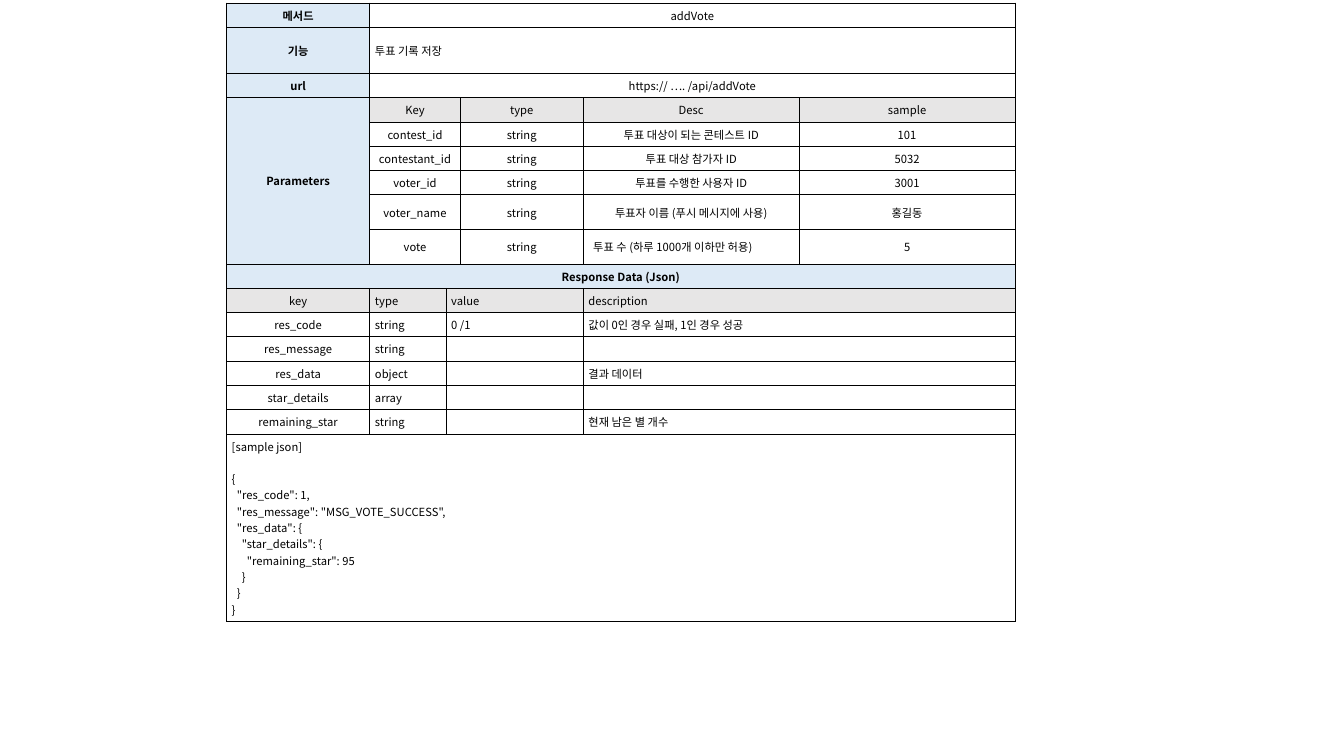
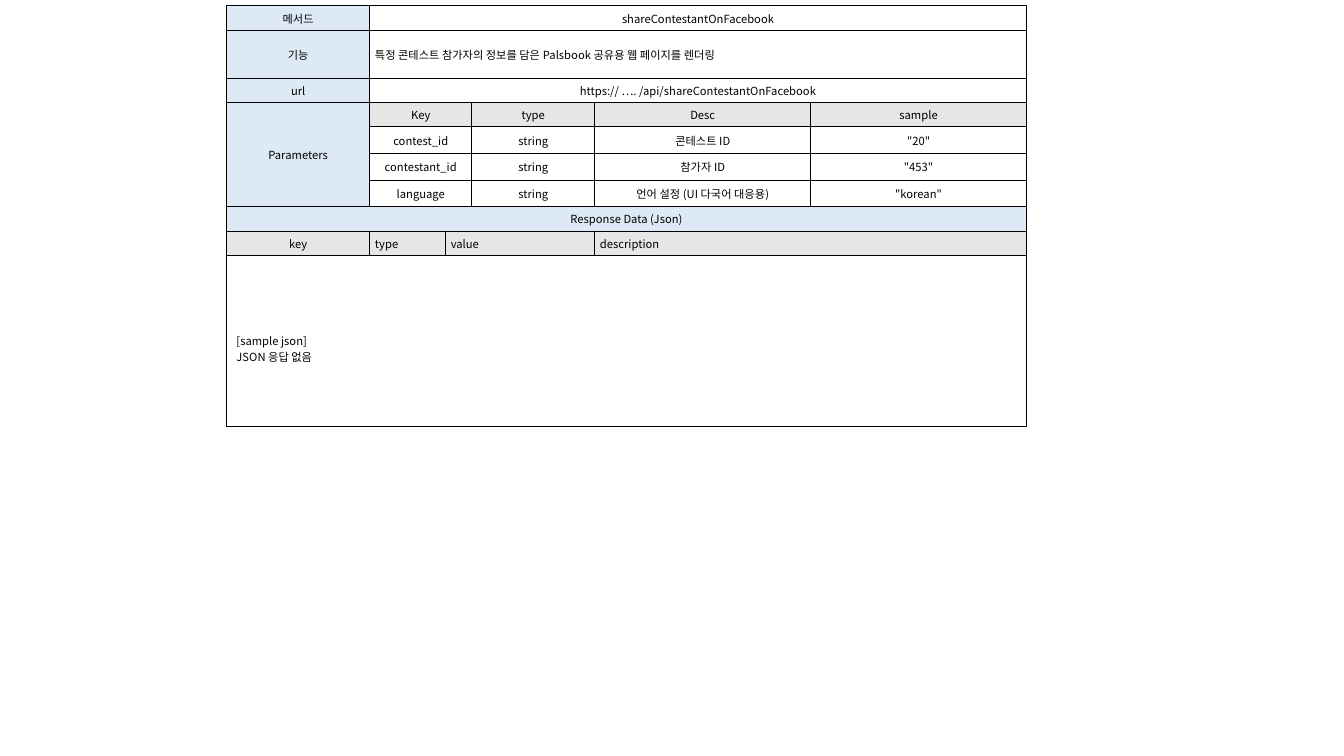
from dataclasses import dataclass

from lxml.etree import SubElement
from pptx import Presentation
from pptx.dml.color import RGBColor
from pptx.enum.text import MSO_ANCHOR as Anchor, PP_ALIGN as Align
from pptx.oxml.ns import qn
from pptx.util import Cm, Pt


@dataclass(frozen=True)
class Theme:
    label: RGBColor = RGBColor(0xDD, 0xEA, 0xF6)
    header: RGBColor = RGBColor(0xE7, 0xE6, 0xE6)
    plain: RGBColor = RGBColor(0xFF, 0xFF, 0xFF)
    ink: RGBColor = RGBColor(0, 0, 0)
    font: str = "Noto Sans CJK KR"
    size: Pt = Pt(8)
    border: Pt = Pt(0.75)
    narrow: tuple = (Cm(0.13), Cm(0.1))
    wide: tuple = (Cm(0.25), Cm(0.13))


@dataclass
class ApiMethod:
    name: str
    purpose: str
    parameters: list
    responses: list
    sample: str
    # Geometry in centimetres
    top: float
    columns: list
    line_height: float
    purpose_height: float
    parameter_heights: list
    sample_height: float
    # Variations in formatting
    bold_labels: bool
    parameter_margins: tuple
    parameter_formats: dict
    sample_format: dict


THEME = Theme()


def write_text(cell, text, bold=False, align=Align.CENTER, anchor=Anchor.MIDDLE,
               margins=THEME.narrow, top_margin=None, gap_after_first=None):
    """Fill a table cell with one paragraph per line of text."""
    cell.vertical_anchor = anchor
    cell.margin_left = cell.margin_right = margins[0]
    cell.margin_top = cell.margin_bottom = margins[1]
    if top_margin is not None:
        cell.margin_top = top_margin
    frame = cell.text_frame
    for index, line in enumerate(text.split("\n")):
        paragraph = frame.add_paragraph() if index else frame.paragraphs[0]
        paragraph.alignment = align
        if index == 1 and gap_after_first:
            paragraph.space_before = gap_after_first
        run = paragraph.add_run()
        run.text = line
        font = run.font
        font.name, font.size, font.bold = THEME.font, THEME.size, bold
        font.color.rgb = THEME.ink
        SubElement(font._element, qn("a:ea"), typeface=THEME.font)


class ApiDeck:
    def __init__(self, theme):
        self.theme = theme
        self.presentation = Presentation()
        self.presentation.slide_width = Cm(33.87)
        self.presentation.slide_height = Cm(19.05)
        self.slide = None
        self.table = None

    def add_slide(self):
        self.slide = self.presentation.slides.add_slide(self.presentation.slide_layouts[6])

    def add_grid(self, left, top, columns, rows):
        """Add an empty white table with thin borders."""
        frame = self.slide.shapes.add_table(
            len(rows), len(columns), Cm(left), Cm(top), Cm(sum(columns)), Cm(sum(rows)))
        self.table = frame.table
        self.table.first_row = self.table.horz_banding = False
        for column, width in zip(self.table.columns, columns):
            column.width = Cm(width)
        for row, height in zip(self.table.rows, rows):
            row.height = Cm(height)
        for cell in self.table.iter_cells():
            self.add_borders(cell)
            cell.fill.solid()
            cell.fill.fore_color.rgb = self.theme.plain
            # Empty cells keep the small type so that rows stay low
            end = cell.text_frame.paragraphs[0]._p.get_or_add_endParaRPr()
            end.set("sz", str(int(self.theme.size.pt * 100)))

    def add_borders(self, cell):
        properties = cell._tc.get_or_add_tcPr()
        for side in ("a:lnL", "a:lnR", "a:lnT", "a:lnB"):
            line = SubElement(properties, qn(side), w=str(self.theme.border))
            fill = SubElement(line, qn("a:solidFill"))
            SubElement(fill, qn("a:srgbClr"), val=str(self.theme.ink))

    def add_cell(self, row, column, text="", width=1, height=1, fill=None, **text_format):
        cell = self.table.cell(row, column)
        if width > 1 or height > 1:
            cell.merge(self.table.cell(row + height - 1, column + width - 1))
        if fill is not None:
            cell.fill.fore_color.rgb = fill
        if text:
            write_text(cell, text, **text_format)

    def add_row(self, row, texts, places, formats=None, **shared):
        """Write texts at (column, width) places; formats override by column."""
        for text, (column, width) in zip(texts, places):
            self.add_cell(row, column, text, width,
                          **{**shared, **(formats or {}).get(column, {})})

    def add_api_method(self, method):
        theme = self.theme
        line = method.line_height
        parameter_count = len(method.parameters)
        response_row = 4 + parameter_count
        rows = ([line, method.purpose_height, line, line] + method.parameter_heights
                + [line] * (2 + len(method.responses)) + [method.sample_height])
        self.add_slide()
        self.add_grid(5.71, method.top, method.columns, rows)
        label = {"fill": theme.label, "bold": method.bold_labels}

        # Method summary
        summary = [("메서드", method.name, Align.CENTER),
                   ("기능", method.purpose, Align.LEFT),
                   ("url", f"https:// …. /api/{method.name}", Align.CENTER)]
        for row, (caption, text, align) in enumerate(summary):
            self.add_cell(row, 0, caption, **label)
            self.add_cell(row, 1, text, width=5, align=align)

        # Parameters
        places = [(1, 2), (3, 1), (4, 1), (5, 1)]
        self.add_cell(3, 0, "Parameters", height=1 + parameter_count, **label)
        self.add_row(3, ("Key", "type", "Desc", "sample"), places, fill=theme.header)
        for index, (key, description, sample) in enumerate(method.parameters):
            self.add_row(4 + index, (key, "string", description, sample), places,
                         method.parameter_formats.get(key),
                         margins=method.parameter_margins)

        # Response
        places = [(0, 1), (1, 1), (2, 2), (4, 2)]
        centred_key = {0: {"align": Align.CENTER}}
        self.add_cell(response_row, 0, "Response Data (Json)", width=6, **label)
        self.add_row(response_row + 1, ("key", "type", "value", "description"), places,
                     centred_key, fill=theme.header, align=Align.LEFT)
        for row, texts in enumerate(method.responses, response_row + 2):
            self.add_row(row, texts, places, centred_key, align=Align.LEFT)

        # Sample
        self.add_cell(len(rows) - 1, 0, method.sample, width=6, align=Align.LEFT,
                      **method.sample_format)


VOTE_SAMPLE = """[sample json]
{
  "res_code": 1,
  "res_message": "MSG_VOTE_SUCCESS",
  "res_data": {
    "star_details": {
      "remaining_star": 95
    }
  }
}"""

METHODS = [
    ApiMethod(
        name="addVote",
        purpose="투표 기록 저장",
        parameters=[
            ("contest_id", "투표 대상이 되는 콘테스트 ID", "101"),
            ("contestant_id", "투표 대상 참가자 ID", "5032"),
            ("voter_id", "투표를 수행한 사용자 ID", "3001"),
            ("voter_name", "투표자 이름 (푸시 메시지에 사용)", "홍길동"),
            ("vote", "투표 수 (하루 1000개 이하만 허용)", "5"),
        ],
        responses=[
            ("res_code", "string", "0 /1", "값이 0인 경우 실패, 1인 경우 성공"),
            ("res_message", "string", "", ""),
            ("res_data", "object", "", "결과 데이터"),
            ("star_details", "array", "", ""),
            ("remaining_star", "string", "", "현재 남은 별 개수"),
        ],
        sample=VOTE_SAMPLE,
        top=0.08,
        columns=[3.61, 1.92, 0.36, 3.1, 5.44, 5.44],
        line_height=0.53,
        purpose_height=1.16,
        parameter_heights=[0.53] * 3 + [0.87] * 2,
        sample_height=3.89,
        bold_labels=True,
        parameter_margins=THEME.narrow,
        parameter_formats={"vote": {4: {"align": Align.LEFT, "margins": THEME.wide}}},
        sample_format={"anchor": Anchor.TOP, "gap_after_first": Pt(11.65)},
    ),
    ApiMethod(
        name="shareContestantOnFacebook",
        purpose="특정 콘테스트 참가자의 정보를 담은 Palsbook 공유용 웹 페이지를 렌더링",
        parameters=[
            ("contest_id", "콘테스트 ID", '"20"'),
            ("contestant_id", "참가자 ID", '"453"'),
            ("language", "언어 설정 (UI 다국어 대응용)", '"korean"'),
        ],
        responses=[],
        sample="[sample json]\nJSON 응답 없음",
        top=0.15,
        columns=[3.61, 1.91, 0.66, 3.1, 5.44, 5.44],
        line_height=0.52,
        purpose_height=1.21,
        parameter_heights=[0.52] * 3,
        sample_height=4.3,
        bold_labels=False,
        parameter_margins=THEME.wide,
        parameter_formats={},
        sample_format={"margins": THEME.wide, "top_margin": Cm(0.54)},
    ),
]


def main():
    deck = ApiDeck(THEME)
    for method in METHODS:
        deck.add_api_method(method)
    deck.presentation.save("out.pptx")


if __name__ == "__main__":
    main()
